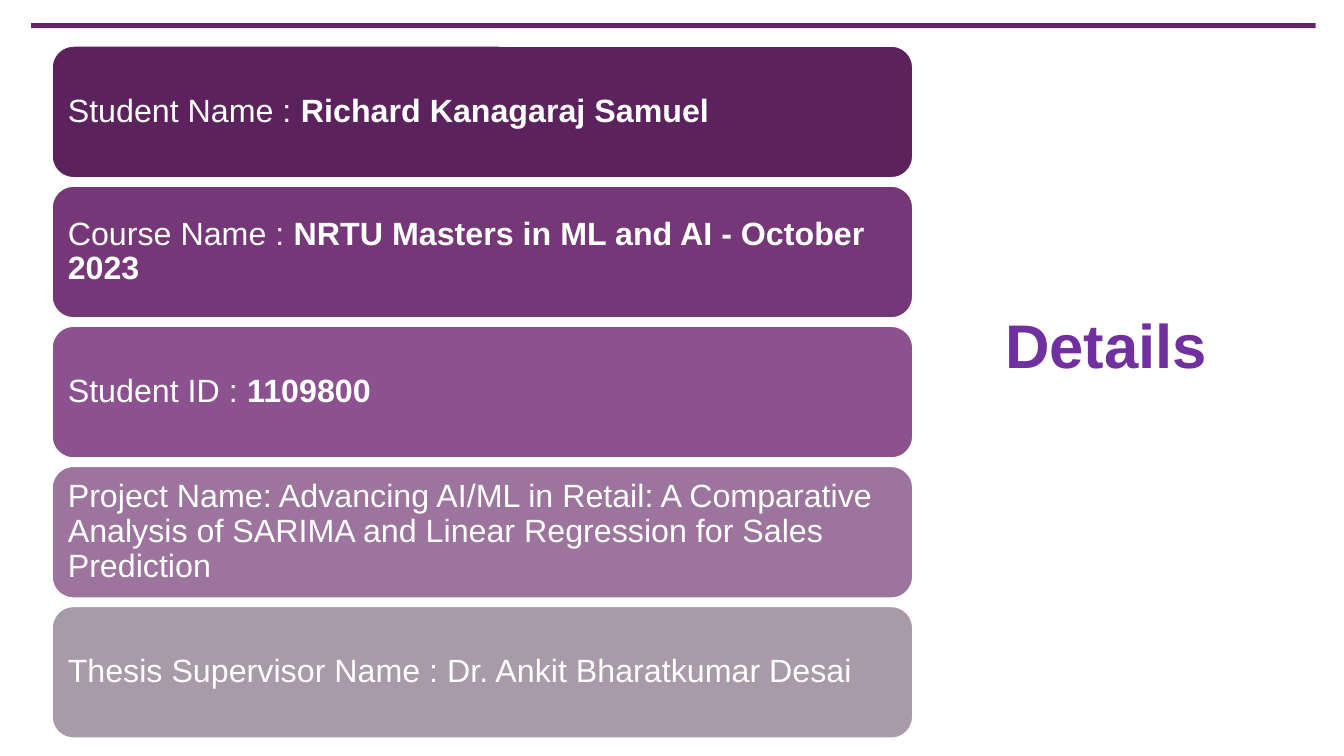
from pptx import Presentation
from pptx.dml.color import RGBColor
from pptx.enum.shapes import MSO_SHAPE as Shape
from pptx.enum.text import MSO_ANCHOR as Anchor, PP_ALIGN as Align
from pptx.util import Inches, Pt

WHITE = RGBColor(0xFF, 0xFF, 0xFF)
RULE_PURPLE = RGBColor(0x64, 0x25, 0x66)
TITLE_PURPLE = RGBColor(0x70, 0x30, 0xA0)

# Label, bold value and fill of each card
DETAILS = [
    ("Student Name : ", "Richard Kanagaraj Samuel", RGBColor(0x5B, 0x22, 0x5D)),
    ("Course Name : ", "NRTU Masters in ML and AI - October 2023", RGBColor(0x76, 0x37, 0x78)),
    ("Student ID : ", "1109800", RGBColor(0x8C, 0x52, 0x8F)),
    ("Project Name: Advancing AI/ML in Retail: A Comparative Analysis of "
     "SARIMA and Linear Regression for Sales Prediction", "", RGBColor(0x9C, 0x74, 0x9D)),
    ("Thesis Supervisor Name : Dr. Ankit Bharatkumar Desai", "", RGBColor(0xA8, 0x9A, 0xA8)),
]

# Card column: left, top, width, height and row pitch in inches
LEFT, TOP, WIDTH, HEIGHT, PITCH = 0.51, 0.45, 8.55, 1.32, 1.39


def style(run, size, color, bold):
    for name, value in {"name": "Arial", "size": Pt(size), "bold": bold}.items():
        setattr(run.font, name, value)
    run.font.color.rgb = color


prs = Presentation()
prs.slide_width, prs.slide_height = Inches(13.33), Inches(7.5)
slide = prs.slides.add_slide(prs.slide_layouts[5])

# Rule across the top
rule = slide.shapes.add_shape(
    Shape.RECTANGLE, Inches(0.31), Inches(0.23), Inches(12.74), Inches(0.05))
rule.shadow.inherit = False
rule.fill.solid()
rule.fill.fore_color.rgb = RULE_PURPLE
rule.line.fill.background()

# Stack of detail cards
for row, (label, value, fill) in enumerate(DETAILS):
    card = slide.shapes.add_shape(
        Shape.ROUNDED_RECTANGLE, Inches(LEFT), Inches(TOP + row * PITCH),
        Inches(WIDTH), Inches(HEIGHT))
    card.shadow.inherit = False
    card.fill.solid()
    card.fill.fore_color.rgb = fill
    card.line.color.rgb = WHITE
    card.line.width = Pt(2)

    frame = card.text_frame
    frame.word_wrap = True
    frame.vertical_anchor = Anchor.MIDDLE
    for side in ("left", "top", "right", "bottom"):
        setattr(frame, f"margin_{side}", Inches(0.1))
    line = frame.paragraphs[0]
    line.alignment = Align.LEFT
    line.line_spacing = 0.9
    for text, bold in ((label, False), (value, True)):
        if text:
            run = line.add_run()
            run.text = text
            style(run, 23, WHITE, bold)

# Title on the right
title = slide.shapes.title
title.left, title.top, title.width, title.height = map(Inches, (9.87, 2.94, 3.33, 0.94))
title.text_frame.word_wrap = True
title.text_frame.vertical_anchor = Anchor.MIDDLE
heading = title.text_frame.paragraphs[0]
heading.alignment = Align.LEFT
heading_run = heading.add_run()
heading_run.text = "Details"
style(heading_run, 44, TITLE_PURPLE, True)

prs.save("out.pptx")
